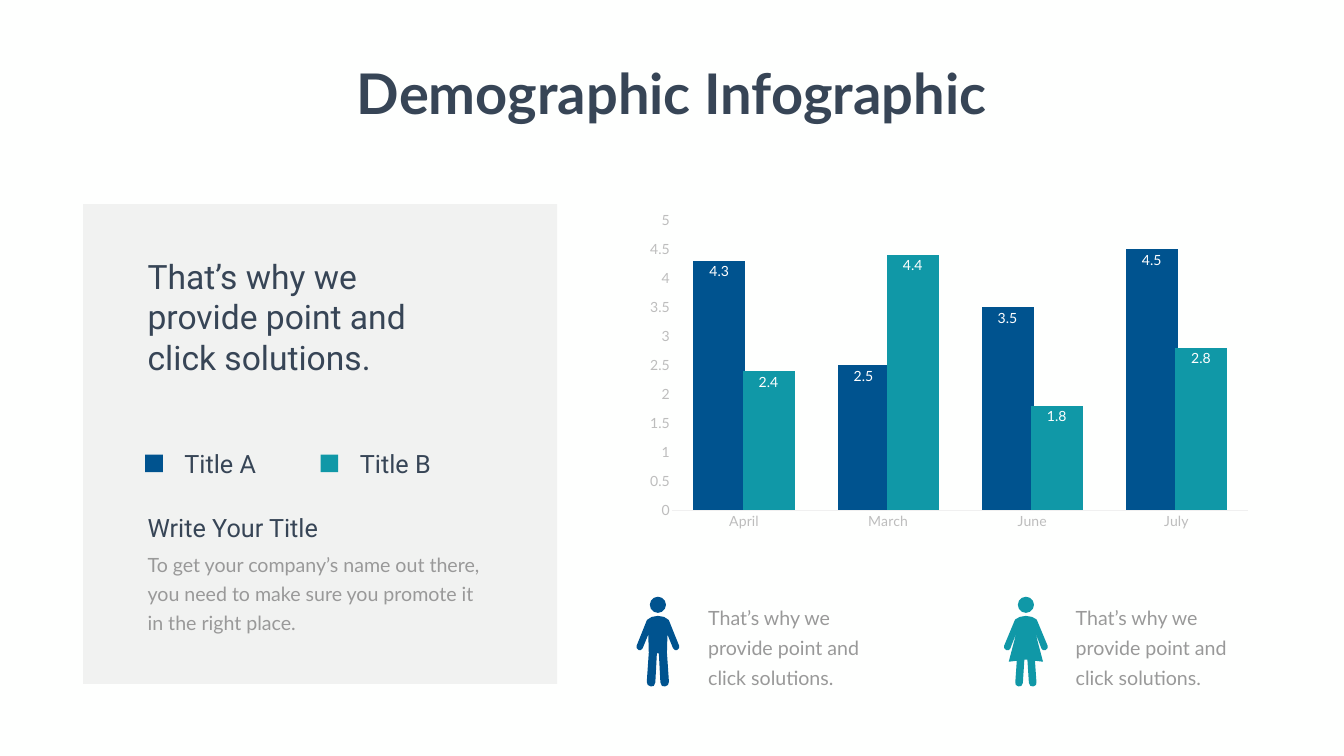
from lxml.etree import SubElement
from pptx import Presentation
from pptx.chart.data import CategoryChartData
from pptx.dml.color import RGBColor
from pptx.enum.chart import XL_CHART_TYPE as ChartType
from pptx.enum.chart import XL_LABEL_POSITION as LabelPosition
from pptx.enum.chart import XL_TICK_MARK as TickMark
from pptx.enum.shapes import MSO_SHAPE as Preset
from pptx.enum.text import MSO_ANCHOR as Anchor
from pptx.enum.text import MSO_AUTO_SIZE as AutoSize
from pptx.enum.text import PP_ALIGN as Align
from pptx.oxml import parse_xml
from pptx.oxml.ns import nsdecls, qn
from pptx.util import Inches, Pt

BLUE, TEAL, INK, GREY = "00538F", "1098A7", "374556", "999999"
PALE, RULE, WHITE = "BDBDBD", "F0F0F0", "FFFFFF"
PITCH = "That’s why we provide point and click solutions."
MAN = [(0, 0), (0.12, 0.02), (0.2, 0.07), (0.22, 0.09), (0.42, 0.59), (0.42, 0.64),
       (0.38, 0.68), (0.34, 0.68), (0.3, 0.64), (0.19, 0.37), (0.18, 0.73),
       (0.22, 1.31), (0.2, 1.37), (0.14, 1.4), (0.08, 1.39), (0.05, 1.32),
       (0.02, 0.75), (0, 0.73)]
WOMAN = [(0, 0), (0.12, 0.02), (0.21, 0.07), (0.23, 0.11), (0.43, 0.59), (0.43, 0.64),
         (0.39, 0.68), (0.34, 0.68), (0.31, 0.65), (0.19, 0.34), (0.34, 0.91),
         (0.18, 0.89), (0.21, 1.32), (0.2, 1.37), (0.15, 1.4), (0.09, 1.39),
         (0.06, 1.33), (0.03, 0.87), (0, 0.87)]


def color(value):
    return RGBColor.from_string(value)


class Designer:
    """Draws styled elements on the current slide."""

    heading_font, body_font = "Roboto", "Lato"

    def __init__(self, page):
        self.page = page

    def style(self, font, name, size, tint):
        font.name, font.size = name, Pt(size)
        font.color.rgb = color(tint)

    def background(self, tint):
        fill = self.page.background.fill
        fill.solid()
        fill.fore_color.rgb = color(tint)

    def title(self, words, left, top, width, height):
        box = self.page.shapes.title
        box.left, box.top = Inches(left), Inches(top)
        box.width, box.height = Inches(width), Inches(height)
        frame = box.text_frame
        frame.text = words
        frame.word_wrap, frame.auto_size = False, AutoSize.SHAPE_TO_FIT_TEXT
        frame.vertical_anchor = Anchor.TOP
        para = frame.paragraphs[0]
        para.alignment = Align.CENTER
        self.style(para.font, self.body_font, 80, INK)
        para.font.bold = True

    def text(self, words, left, top, width, height, size, spacing=None):
        box = self.page.shapes.add_textbox(
            Inches(left), Inches(top), Inches(width), Inches(height))
        frame = box.text_frame
        frame.word_wrap, frame.auto_size = True, AutoSize.SHAPE_TO_FIT_TEXT
        para = frame.paragraphs[0]
        para.text = words
        if spacing:
            para.line_spacing = Pt(spacing)
            self.style(para.font, self.body_font, size, GREY)
        else:
            self.style(para.font, self.heading_font, size, INK)

    def paint(self, shape, tint):
        shape.shadow.inherit = False
        shape.fill.solid()
        shape.fill.fore_color.rgb = color(tint)
        shape.line.fill.background()

    def shape(self, preset, left, top, width, height, tint, opacity=None):
        shape = self.page.shapes.add_shape(
            preset, Inches(left), Inches(top), Inches(width), Inches(height))
        self.paint(shape, tint)
        if opacity:
            tone = shape.element.spPr.find(qn("a:solidFill"))[0]
            SubElement(tone, qn("a:alpha")).set("val", str(opacity * 1000))
        return shape

    def person(self, half, center, top, tint):
        head = self.shape(Preset.OVAL, center - 0.16, top, 0.32, 0.32, tint)
        outline = half + [(-x, y) for x, y in reversed(half[1:-1])]
        points = [(Inches(center + x), Inches(top + 0.38 + y)) for x, y in outline]
        builder = self.page.shapes.build_freeform(*points[0])
        builder.add_line_segments(points[1:], close=True)
        body = builder.convert_to_shape()
        self.paint(body, tint)
        self.page.shapes.add_group_shape([body, head])

    def columns(self, months, series, left, top, width, height):
        data = CategoryChartData()
        data.categories = months
        for name, values, _ in series:
            data.add_series(name, values)
        chart = self.page.shapes.add_chart(
            ChartType.COLUMN_CLUSTERED, Inches(left), Inches(top),
            Inches(width), Inches(height), data).chart
        chart.has_legend = chart.has_title = False
        self.style(chart.font, self.body_font, 20, GREY)
        self.axes(chart)
        self.place_plot(chart, x=0.058, y=0.048, w=0.923, h=0.875)
        plot = chart.plots[0]
        plot.vary_by_categories = False
        plot.gap_width, plot.overlap = 83, 5
        for bars, (_, _, tint) in zip(plot.series, series):
            bars.format.fill.solid()
            bars.format.fill.fore_color.rgb = color(tint)
            labels = bars.data_labels
            labels.show_value = True
            labels.position = LabelPosition.INSIDE_END
            self.style(labels.font, self.body_font, 20, WHITE)

    def axes(self, chart):
        for axis in (chart.category_axis, chart.value_axis):
            axis.has_major_gridlines = False
            axis.major_tick_mark = axis.minor_tick_mark = TickMark.NONE
            self.style(axis.tick_labels.font, self.body_font, 20, PALE)
        line = chart.category_axis.format.line
        line.color.rgb, line.width = color(RULE), Pt(0.75)
        scale = chart.value_axis
        scale.minimum_scale, scale.maximum_scale, scale.major_unit = 0, 5, 0.5
        scale.format.line.fill.background()

    def place_plot(self, chart, **ratios):
        area = chart.element.find(".//" + qn("c:plotArea"))
        for layout in area.findall(qn("c:layout")):
            area.remove(layout)
        parts = '<c:layoutTarget val="inner"/><c:xMode val="edge"/><c:yMode val="edge"/>'
        parts += "".join(f'<c:{key} val="{ratio}"/>' for key, ratio in ratios.items())
        area.insert(0, parse_xml(
            f'<c:layout {nsdecls("c")}><c:manualLayout>{parts}</c:manualLayout></c:layout>'))


def main():
    deck = Presentation()
    deck.slide_width, deck.slide_height = Inches(26.66), Inches(15)
    draw = Designer(deck.slides.add_slide(deck.slide_layouts[5]))
    draw.background("FEFFFE")
    draw.title("Demographic Infographic", 6.86, 1.12, 12.93, 1.45)

    draw.shape(Preset.RECTANGLE, 1.65, 4.05, 9.4, 9.52, "808080", opacity=10)
    draw.text(PITCH, 2.83, 5.03, 6.14, 2.52, 48)
    for name, left, tint in (("Title A", 2.88, BLUE), ("Title B", 6.36, TEAL)):
        draw.shape(Preset.RECTANGLE, left, 9.02, 0.35, 0.35, tint)
        draw.text(name, left + 0.68, 8.84, 2.48, 0.71, 36)
    draw.text("Write Your Title", 2.83, 10.12, 5.73, 0.71, 36)
    draw.text("To get your company’s name out there, you need to make sure "
              "you promote it in the right place.", 2.83, 10.83, 7.04, 1.77, 28, 40.8)

    draw.columns(["April", "March", "June", "July"],
                 [("Series 1", (4.3, 2.5, 3.5, 4.5), BLUE),
                  ("Series 2", (2.4, 4.4, 1.8, 2.8), TEAL)],
                 12.61, 4.05, 12.39, 6.58)
    for half, center, left, width, tint in ((MAN, 13.05, 13.95, 3.33, BLUE),
                                            (WOMAN, 20.35, 21.24, 3.77, TEAL)):
        draw.person(half, center, 11.84, tint)
        draw.text(PITCH, left, 11.84, width, 1.84, 28, 43)
    deck.save("out.pptx")


if __name__ == "__main__":
    main()
